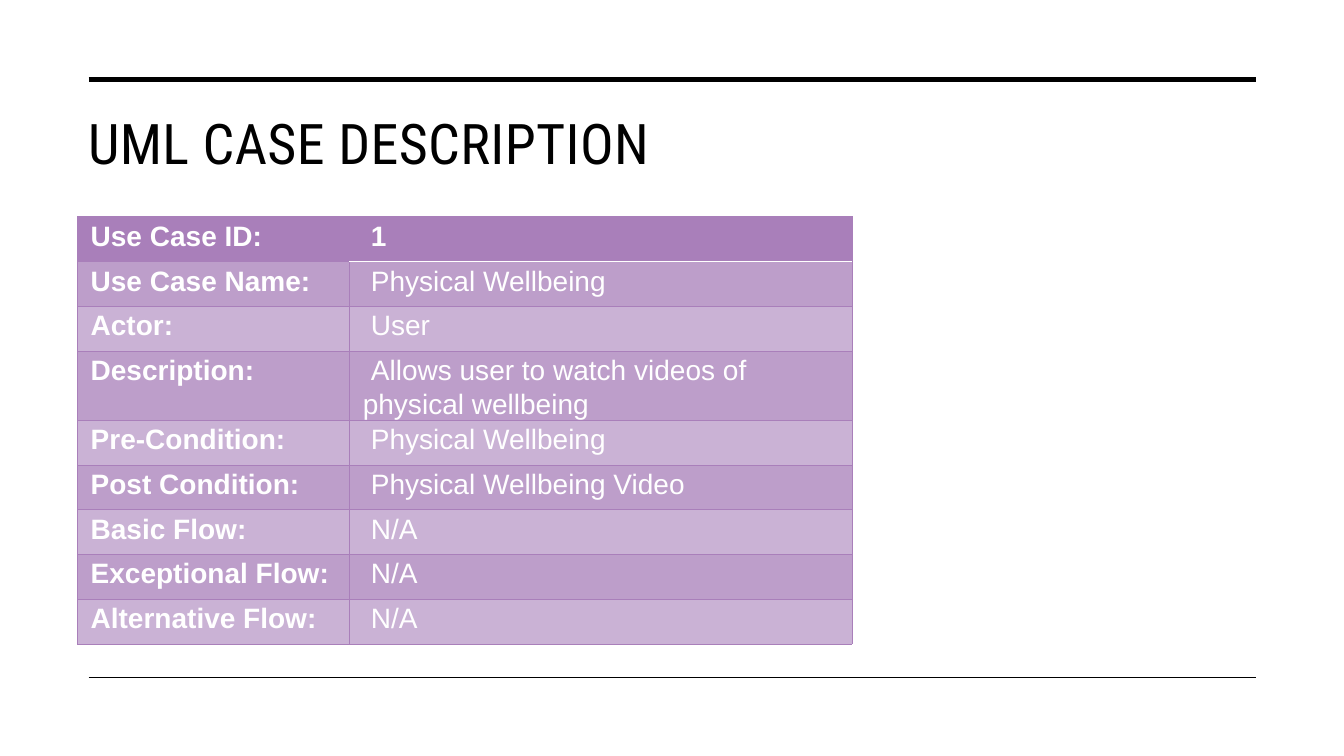
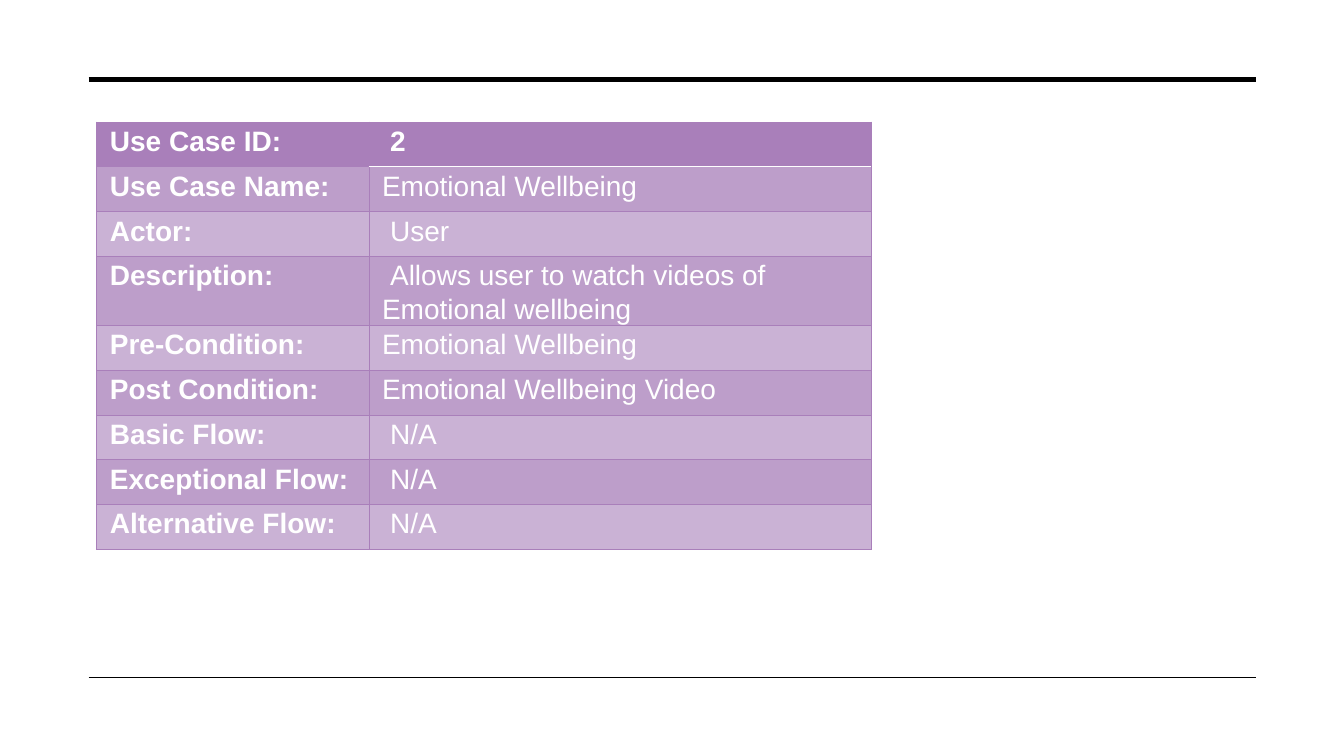
from dataclasses import dataclass
from typing import Optional

from lxml.etree import SubElement
from pptx import Presentation
from pptx.dml.color import RGBColor
from pptx.enum.shapes import MSO_CONNECTOR as Connector
from pptx.enum.text import MSO_ANCHOR as Anchor, MSO_AUTO_SIZE as AutoSize, PP_ALIGN as Align
from pptx.oxml.ns import qn
from pptx.util import Inches, Pt

SLIDE_WIDTH, SLIDE_HEIGHT = Inches(13.33), Inches(7.5)

BLACK = RGBColor(0x00, 0x00, 0x00)
WHITE = RGBColor(0xFF, 0xFF, 0xFF)
PURPLE = RGBColor(0xA9, 0x7F, 0xBA)
PURPLE_MEDIUM = RGBColor(0xBD, 0x9E, 0xCA)
PURPLE_LIGHT = RGBColor(0xCA, 0xB2, 0xD5)

TITLE_FONT, BODY_FONT = "Roboto Condensed", "Arial"
TITLE_ONLY, BLANK = 5, 6

RULE_START, RULE_END = 6.6, 93.45
COLUMN_SHARES = (20.25, 37.36)
ROW_SHARE = 5.93
VALUE_INDENT = Inches(0.08)

LABELS = (
    "Use Case ID:", "Use Case Name:", "Actor:", "Description:", "Pre-Condition:",
    "Post Condition:", "Basic Flow:", "Exceptional Flow:", "Alternative Flow:",
)


@dataclass(frozen=True)
class Rule:
    top: float
    weight: float


@dataclass(frozen=True)
class UseCase:
    number: str
    name: str
    topic: str
    left: float
    top: float
    names_indented: bool
    title: Optional[str] = None

    def values(self) -> list[tuple[str, bool]]:
        return [
            (self.number, True),
            (self.name, self.names_indented),
            ("User", True),
            (f"Allows user to watch videos of {self.topic}", True),
            (self.name, self.names_indented),
            (f"{self.name} Video", self.names_indented),
            *[("N/A", True)] * 3,
        ]


RULES = (Rule(10.5, 3.5), Rule(89.6, 1))
USE_CASES = (
    UseCase("1", "Physical Wellbeing", "physical wellbeing", 5.77, 28.67, True,
            "UML CASE DESCRIPTION"),
    UseCase("2", "Emotional Wellbeing", "Emotional wellbeing", 7.2, 16.13, False),
)


def across(percent: float) -> int:
    return round(SLIDE_WIDTH * percent / 100)


def down(percent: float) -> int:
    return round(SLIDE_HEIGHT * percent / 100)


def add_run(paragraph, text: str, font: str, size: float, colour: RGBColor, bold: bool):
    run = paragraph.add_run()
    run.text = text
    run.font.name = font
    run.font.size = Pt(size)
    run.font.bold = bold
    run.font.color.rgb = colour
    return run


def draw_rule(slide, rule: Rule) -> None:
    line = slide.shapes.add_connector(
        Connector.STRAIGHT, across(RULE_START), down(rule.top), across(RULE_END), down(rule.top))
    line.line.color.rgb = BLACK
    line.line.width = Pt(rule.weight)
    SubElement(line.element.spPr, qn("a:effectLst"))


def draw_title(slide, text: str) -> None:
    title = slide.shapes.title
    title.left, title.top = across(5.8), down(13.2)
    title.width, title.height = across(87.7), down(16.8)
    frame = title.text_frame
    frame.auto_size = AutoSize.NONE
    frame.word_wrap = True
    frame.vertical_anchor = Anchor.TOP
    frame.margin_left = Inches(0.1)
    frame.margin_top = Inches(0.09)
    heading = frame.paragraphs[0]
    heading.alignment = Align.LEFT
    run = add_run(heading, text, TITLE_FONT, 40, BLACK, False)
    run.font._element.set("spc", "30")


def draw_border(cell, side: str, colour: RGBColor, weight: float) -> None:
    border = SubElement(cell._tc.get_or_add_tcPr(), qn(f"a:ln{side}"), w=str(Pt(weight)))
    fill = SubElement(border, qn("a:solidFill"))
    SubElement(fill, qn("a:srgbClr"), val=str(colour))


def row_colour(row: int) -> RGBColor:
    if row == 0:
        return PURPLE
    return PURPLE_MEDIUM if row % 2 else PURPLE_LIGHT


def fill_cell(cell, row: int, column: int, text: str, indented: bool) -> None:
    white_side = {(0, 1): "B", (1, 1): "T"}.get((row, column))
    for side in "LRTB":
        if side == white_side:
            draw_border(cell, side, WHITE, 1)
        else:
            draw_border(cell, side, PURPLE, 0.5)
    cell.fill.solid()
    cell.fill.fore_color.rgb = row_colour(row)
    cell.margin_left = cell.margin_right = Inches(0.13)
    cell.margin_top, cell.margin_bottom = Inches(0.02), 0
    cell.vertical_anchor = Anchor.TOP
    paragraph = cell.text_frame.paragraphs[0]
    paragraph.alignment = Align.LEFT
    paragraph.line_spacing = 1.07
    paragraph.space_after = Pt(8)
    if indented:
        paragraph._p.get_or_add_pPr().set("indent", str(VALUE_INDENT))
    add_run(paragraph, text, BODY_FONT, 20, WHITE, row == 0 or column == 0)


def draw_use_case(slide, case: UseCase) -> None:
    table = slide.shapes.add_table(
        len(LABELS), len(COLUMN_SHARES), across(case.left), down(case.top),
        across(sum(COLUMN_SHARES)), down(ROW_SHARE * len(LABELS))).table
    table.horz_banding = False
    for column, share in zip(table.columns, COLUMN_SHARES):
        column.width = across(share)
    for row, (label, (value, indented)) in enumerate(zip(LABELS, case.values())):
        table.rows[row].height = down(ROW_SHARE)
        fill_cell(table.cell(row, 0), row, 0, label, False)
        fill_cell(table.cell(row, 1), row, 1, value, indented)


def main() -> None:
    deck = Presentation()
    deck.slide_width, deck.slide_height = SLIDE_WIDTH, SLIDE_HEIGHT
    for case in USE_CASES:
        layout = deck.slide_layouts[TITLE_ONLY if case.title else BLANK]
        slide = deck.slides.add_slide(layout)
        if case.title:
            draw_title(slide, case.title)
        for rule in RULES:
            draw_rule(slide, rule)
        draw_use_case(slide, case)
    deck.save("out.pptx")


if __name__ == "__main__":
    main()
